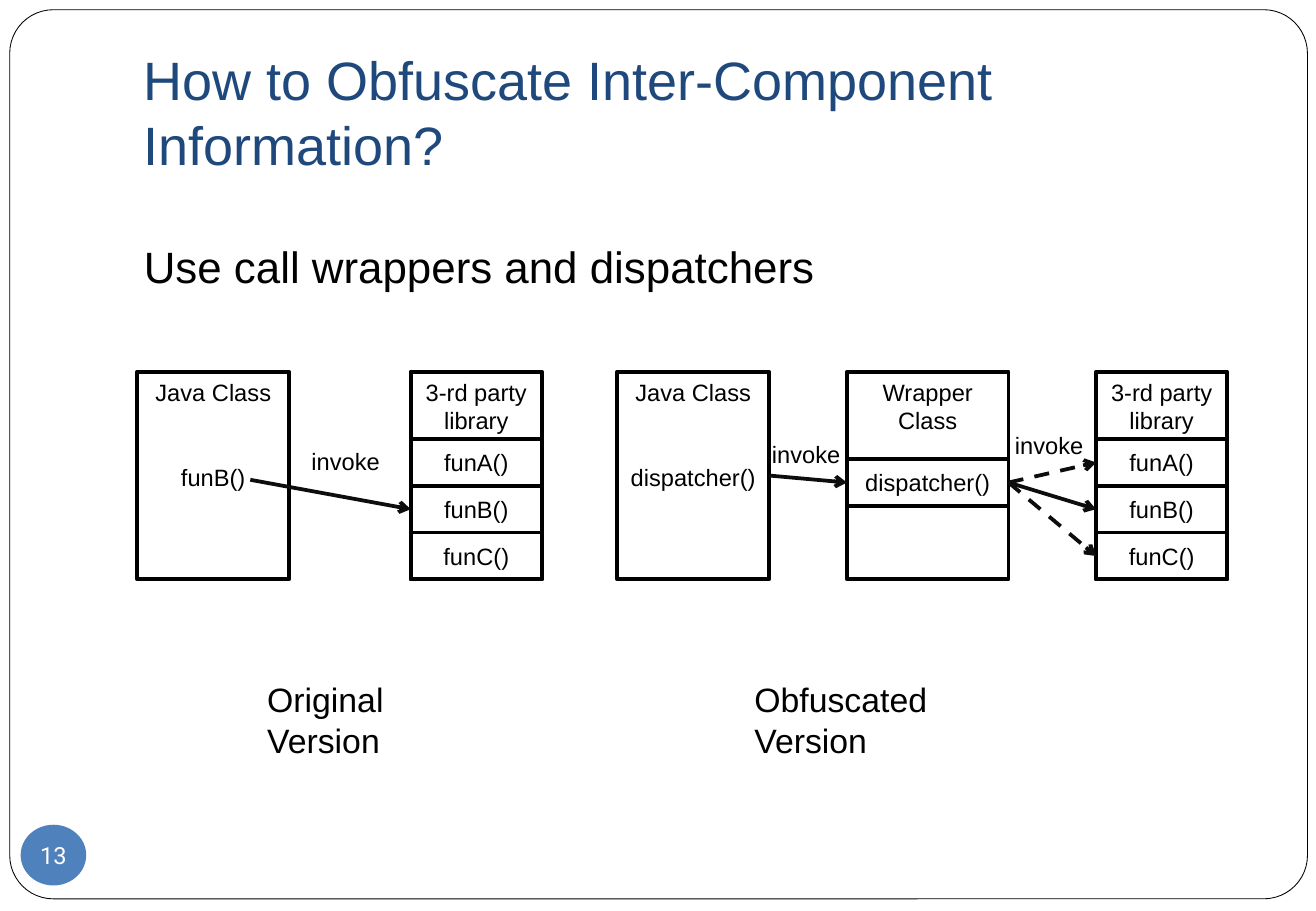
from lxml import etree
from pptx import Presentation
from pptx import util as u
from pptx.dml.color import RGBColor
from pptx.enum import dml, shapes, text
from pptx.oxml.ns import qn

COLORS = {"page": "FFFFFF", "ink": "000000", "arrow": "0D0D0D",
          "title": "1F497D", "badge": "4F81BD"}
WIDTH, HEIGHT = 10.83, 7.5
MARGIN, CONTENT_WIDTH = WIDTH / 10, WIDTH * 0.85
BOX_TOP, BOX_HEIGHT = 3.06, 1.71
ROW = 0.385
FIRST_ROW = BOX_TOP + BOX_HEIGHT - 3 * ROW
LIBRARY_WIDTH, CLASS_WIDTH, WRAPPER_WIDTH = 1.08, 1.25, 1.33
WRAPPER_LEFT = 6.97
FUNCTIONS = ["funA()", "funB()", "funC()"]


def put(shape, left, top, width, height, lines, size=14, color="ink", font="Arial",
        align=text.PP_ALIGN.CENTER, anchor=text.MSO_ANCHOR.TOP, wrap=True, gap=0):
    """Place a shape and write its lines, with gap points before every later line."""
    places = {"left": left, "top": top, "width": width, "height": height}
    for name, value in places.items():
        setattr(shape, name, u.Inches(value))
    frame = shape.text_frame
    frame.word_wrap, frame.vertical_anchor = wrap, anchor
    for number, line in enumerate(lines):
        paragraph = frame.add_paragraph() if number else frame.paragraphs[0]
        paragraph.alignment = align
        if number:
            paragraph.space_before = u.Pt(gap)
        run = paragraph.add_run()
        run.text = line
        run.font.name, run.font.size = font, u.Pt(size)
        run.font.color.rgb = RGBColor.from_string(COLORS[color])
    return shape


def add_box(kind, fill="page", line_width=2.25):
    shape = slide.shapes.add_shape(kind, 0, 0, 0, 0)
    shape.shadow.inherit = False
    shape.fill.solid()
    shape.fill.fore_color.rgb = RGBColor.from_string(COLORS[fill])
    if line_width:
        shape.line.color.rgb = RGBColor.from_string(COLORS["ink"])
        shape.line.width = u.Pt(line_width)
    else:
        shape.line.fill.background()
    return shape


presentation = Presentation()
presentation.slide_width, presentation.slide_height = u.Inches(WIDTH), u.Inches(HEIGHT)
slide = presentation.slides.add_slide(presentation.slide_layouts[1])
RECTANGLE = shapes.MSO_SHAPE.RECTANGLE
LEFT, MIDDLE = text.PP_ALIGN.LEFT, text.MSO_ANCHOR.MIDDLE

# Rounded page frame, behind everything
page = put(add_box(shapes.MSO_SHAPE.ROUNDED_RECTANGLE, line_width=0.5),
           0.08, 0.08, 10.68, 7.32, [])
page.adjustments[0] = 0.049
slide.shapes[0].element.addprevious(page.element)

# Title and body
title = put(slide.shapes.title, MARGIN, HEIGHT * 0.04, CONTENT_WIDTH, HEIGHT / 6,
            ["How to Obfuscate Inter-Component Information?"], size=32, color="title",
            align=LEFT, anchor=text.MSO_ANCHOR.BOTTOM)
title.text_frame.margin_bottom = u.Inches(0.1)
body = put(slide.placeholders[1], MARGIN, 1.92, CONTENT_WIDTH, 4.67,
           ["Use call wrappers and dispatchers"], size=26, align=LEFT)
paragraph = body.text_frame.paragraphs[0]
paragraph.space_before = u.Pt(5.8)
properties = paragraph._p.get_or_add_pPr()
properties.set("marL", "0")
properties.set("indent", "0")
etree.SubElement(properties, qn("a:buNone"))

# Both versions: a caption, a class and a library with one row per function
versions = [("Original Version", 2.1, 2.02, 1.13, "funB()", 3.38),
            ("Obfuscated Version", 6.11, 2.44, 5.08, "dispatcher()", 9.02)]
classes, libraries = [], []
for caption, caption_left, caption_width, class_left, call, library_left in versions:
    put(slide.shapes.add_textbox(0, 0, 0, 0), caption_left, 5.54, caption_width, 0.44,
        [caption], size=20, align=LEFT)
    classes.append(put(add_box(RECTANGLE), class_left, BOX_TOP, CLASS_WIDTH, BOX_HEIGHT,
                       ["Java Class", call], gap=34))
    put(add_box(RECTANGLE), library_left, BOX_TOP, LIBRARY_WIDTH, BOX_HEIGHT,
        ["3-rd party library"])
    libraries.append([
        put(add_box(RECTANGLE), library_left, FIRST_ROW + row * ROW, LIBRARY_WIDTH, ROW,
            [function], anchor=MIDDLE)
        for row, function in enumerate(FUNCTIONS)])

# Wrapper class with its dispatcher row
put(add_box(RECTANGLE), WRAPPER_LEFT, BOX_TOP, WRAPPER_WIDTH, BOX_HEIGHT, ["Wrapper Class"])
dispatcher = put(add_box(RECTANGLE), WRAPPER_LEFT, 3.78, WRAPPER_WIDTH, ROW,
                 ["dispatcher()"], anchor=MIDDLE)

# Calls: the first starts at the text inside its class
calls = [(None, libraries[0][1], False), (classes[1], dispatcher, False)]
calls += [(dispatcher, row, number != 1) for number, row in enumerate(libraries[1])]
for source, target, dashed in calls:
    arrow = slide.shapes.add_connector(shapes.MSO_CONNECTOR.STRAIGHT,
                                       u.Inches(2.06), u.Inches(3.95), 0, 0)
    if source is not None:
        arrow.begin_connect(source, 3)
    arrow.end_connect(target, 1)
    arrow.line.color.rgb = RGBColor.from_string(COLORS["arrow"])
    arrow.line.width = u.Pt(2.25)
    if dashed:
        arrow.line.dash_style = dml.MSO_LINE.DASH
    etree.SubElement(arrow.line._get_or_add_ln(), qn("a:tailEnd"), type="arrow")
    etree.SubElement(arrow.element.spPr, qn("a:effectLst"))

for left, top in [(2.46, 3.63), (6.25, 3.57), (8.25, 3.5)]:
    put(slide.shapes.add_textbox(0, 0, 0, 0), left, top, 0.77, 0.34, ["invoke"], wrap=False)

# Slide number
badge = put(add_box(shapes.MSO_SHAPE.OVAL, fill="badge", line_width=0),
            0.17, 6.79, 0.54, 0.5, ["13"], color="page", font="Roboto",
            anchor=MIDDLE, wrap=False)
for side in ("left", "top", "right", "bottom"):
    setattr(badge.text_frame, f"margin_{side}", 0)

presentation.save("out.pptx")
